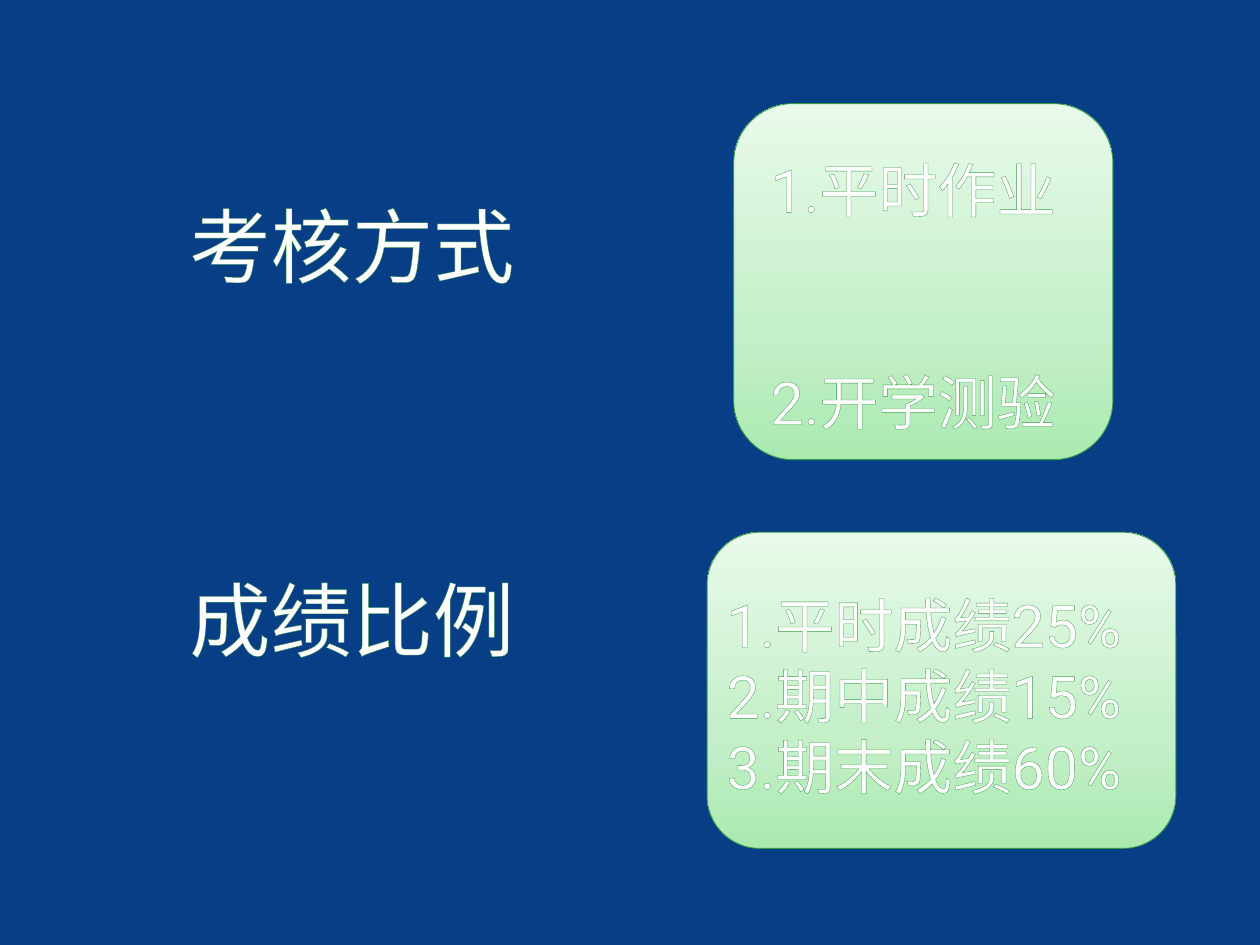
import copy

import pptx
import pptx.dml.color
import pptx.enum.shapes
import pptx.enum.text
import pptx.oxml
import pptx.oxml.ns
import pptx.util

WIDTH, HEIGHT = 14.22, 10.67
HEAD_LEFT, HEAD_WIDTH, HEAD_HEIGHT = 1.78, 4.38, 1.22
GREENS = [(0, "AAEAB1"), (0.35, "C4EFC8"), (1, "E8FAEA")]
CJK_FONT = "Noto Sans CJK SC"
ALIGN = pptx.enum.text.PP_ALIGN
qn = pptx.oxml.ns.qn


def color(value):
    return pptx.dml.color.RGBColor.from_string(value)


def place(sp, box):
    sp.left, sp.top, sp.width, sp.height = (pptx.util.Inches(v) for v in box)


def outline(r, line_color="3C9B4C", width=0.52):
    """Give the letters of a run a thin contour."""
    ln = pptx.oxml.parse_xml(
        f'<a:ln {pptx.oxml.ns.nsdecls("a")} w="{pptx.util.Pt(width)}">'
        f'<a:solidFill><a:srgbClr val="{line_color}"/></a:solidFill></a:ln>')
    r.font._element.insert(0, ln)


def write(sp, lines, size=48, font="Roboto", align=ALIGN.CENTER, gap=0):
    """Write one paragraph per line, with a gap in points between them."""
    tf = sp.text_frame
    tf.word_wrap = True
    tf.auto_size = pptx.enum.text.MSO_AUTO_SIZE.SHAPE_TO_FIT_TEXT
    tf.vertical_anchor = pptx.enum.text.MSO_ANCHOR.MIDDLE
    tf.margin_left = tf.margin_right = pptx.util.Inches(0.06)
    tf.margin_top = tf.margin_bottom = pptx.util.Inches(0.06)
    for i, line in enumerate(lines):
        p = tf.paragraphs[0] if i == 0 else tf.add_paragraph()
        p.alignment = align
        p.space_before = pptx.util.Pt(gap if i else 0)
        r = p.add_run()
        r.text = line
        r.font.size = pptx.util.Pt(size)
        r.font.name = font
        r.font.color.rgb = color("FFFFFF")
        ea = r.font._element.makeelement(qn("a:ea"), {"typeface": CJK_FONT})
        r.font._element.find(qn("a:latin")).addnext(ea)
        outline(r)


def add_text(slide, box, lines, **fmt):
    sp = slide.shapes.add_textbox(0, 0, 0, 0)
    place(sp, box)
    write(sp, lines, **fmt)


def add_panel(slide, box):
    """Rounded panel that fades from green at the foot to pale at the top."""
    sp = slide.shapes.add_shape(
        pptx.enum.shapes.MSO_SHAPE.ROUNDED_RECTANGLE, 0, 0, 0, 0)
    place(sp, box)
    sp.shadow.inherit = False
    sp.fill.gradient()
    sp.fill.gradient_angle = 90
    stops = next(sp._element.iter(qn("a:gsLst")))
    stops.insert(1, copy.deepcopy(stops[0]))
    for stop, (position, value) in zip(sp.fill.gradient_stops, GREENS):
        stop.position = position
        stop.color.rgb = color(value)
    sp.line.color.rgb = color("389A49")
    sp.line.width = pptx.util.Pt(0.75)


def add_section(slide, panel, inset, lines, **fmt):
    """Panel with its list; inset is the list box relative to the panel."""
    add_panel(slide, panel)
    dx, dy, w, h = inset
    add_text(slide, (panel[0] + dx, panel[1] + dy, w, h), lines, **fmt)


def main():
    prs = pptx.Presentation()
    prs.slide_width = pptx.util.Inches(WIDTH)
    prs.slide_height = pptx.util.Inches(HEIGHT)
    slide = prs.slides.add_slide(prs.slide_layouts[5])
    slide.background.fill.solid()
    slide.background.fill.fore_color.rgb = color("073E86")

    # Headings on the left
    place(slide.shapes.title, (HEAD_LEFT, 2.15, HEAD_WIDTH, HEAD_HEIGHT))
    write(slide.shapes.title, ["考核方式"], size=66, font=CJK_FONT)
    add_text(slide, (HEAD_LEFT, 6.37, HEAD_WIDTH, HEAD_HEIGHT),
             ["成绩比例"], size=66, font=CJK_FONT)

    # Assessment methods
    add_section(slide, (8.28, 1.17, 4.28, 4.02), (-0.25, 0.49, 4.55, 3.34),
                ["1.平时作业", "2.开学测验"], gap=115)

    # Shares of the grade
    add_section(slide, (7.98, 6.01, 5.29, 3.57), (0.16, 0.57, 5.46, 2.53),
                ["1.平时成绩25%", "2.期中成绩15%", "3.期末成绩60%"],
                align=ALIGN.LEFT)

    prs.save("out.pptx")


if __name__ == "__main__":
    main()
